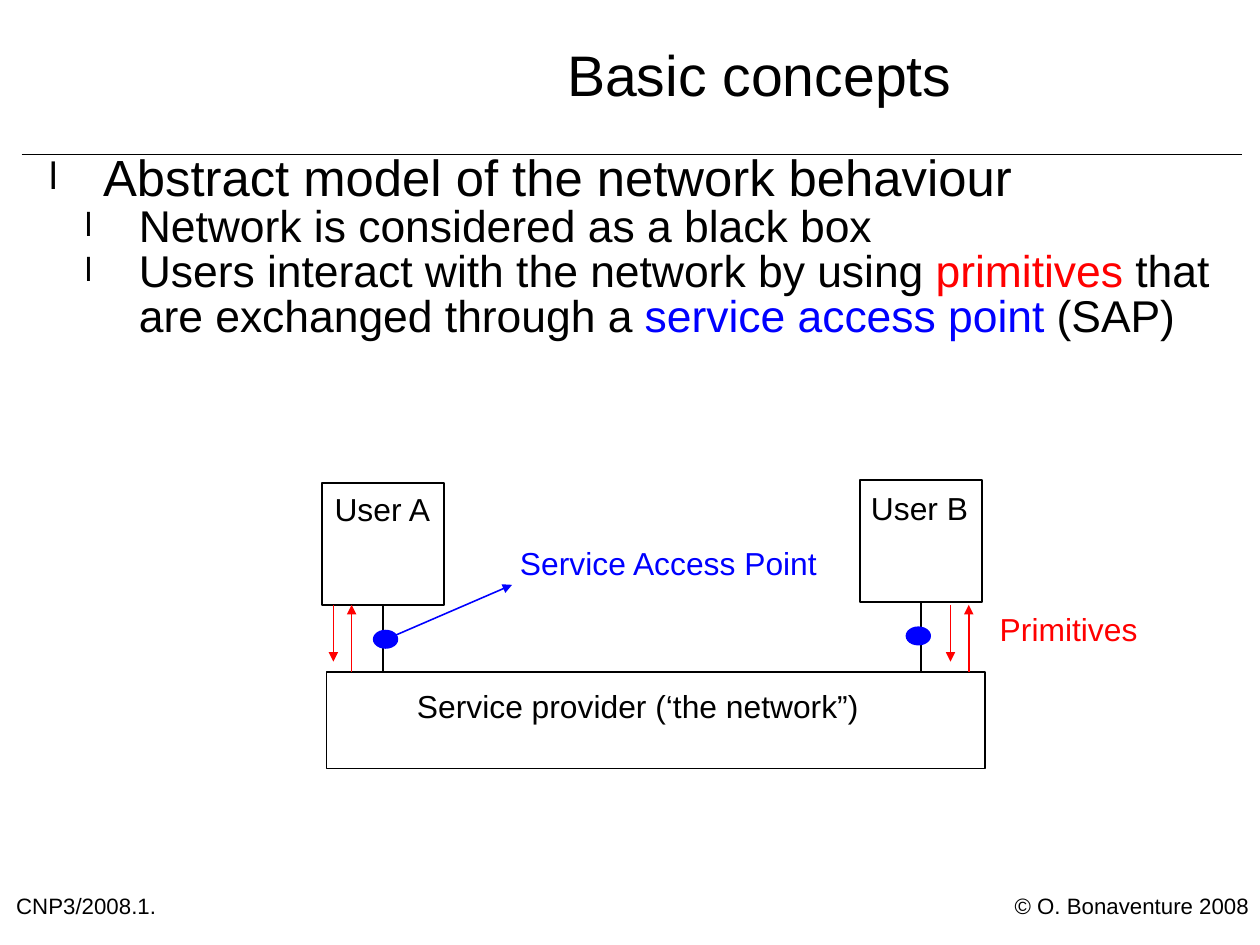
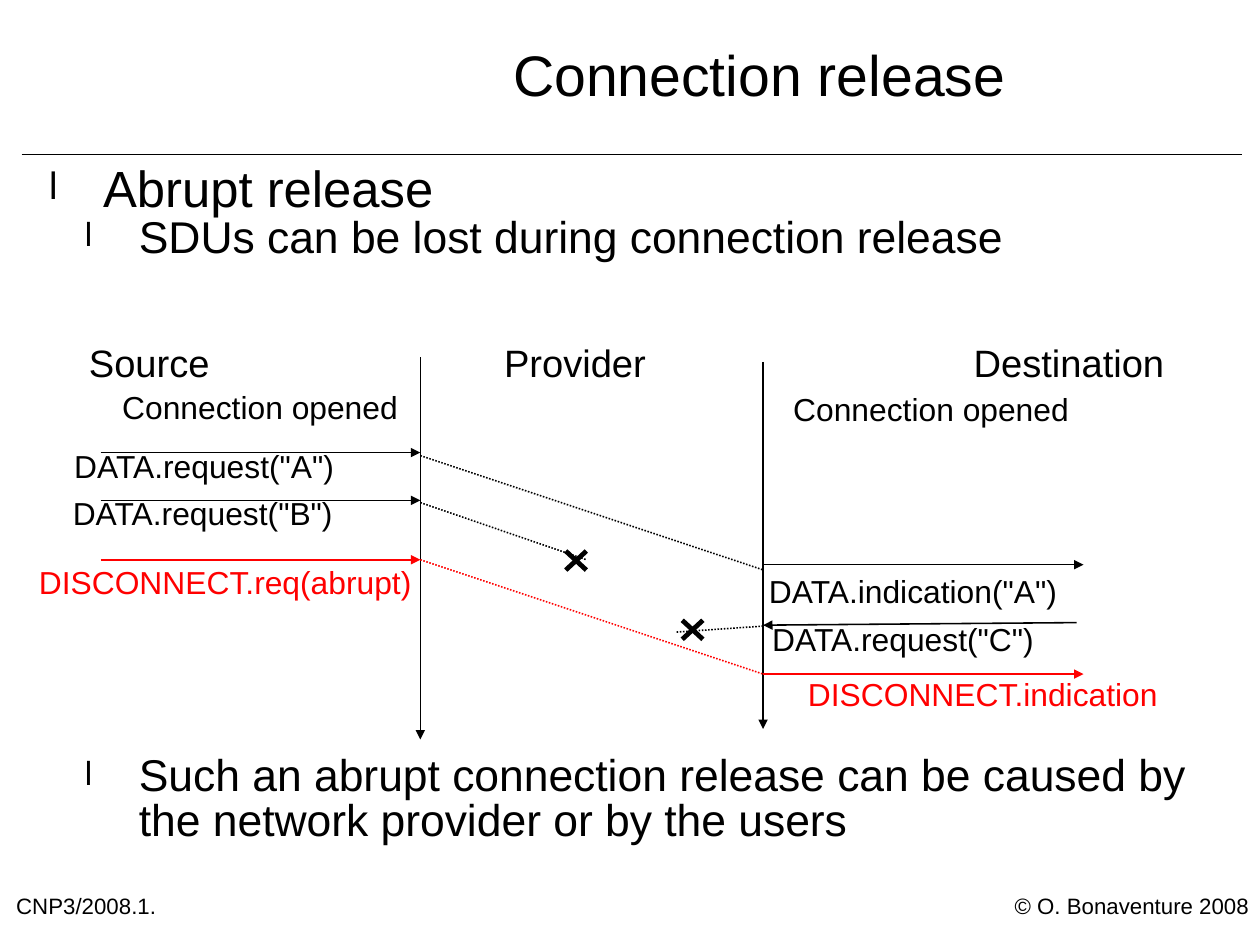
"""Build two networking slides: basic concepts and connection release."""
from dataclasses import dataclass

from lxml import etree
from pptx import Presentation
from pptx.dml.color import RGBColor
from pptx.enum.dml import MSO_LINE
from pptx.enum.shapes import MSO_CONNECTOR, MSO_SHAPE
from pptx.enum.text import MSO_ANCHOR, MSO_AUTO_SIZE, PP_ALIGN
from pptx.oxml.ns import qn
from pptx.util import Pt

STRAIGHT = MSO_CONNECTOR.STRAIGHT
RECTANGLE, OVAL = MSO_SHAPE.RECTANGLE, MSO_SHAPE.OVAL
DOTTED = MSO_LINE.ROUND_DOT
LEFT, CENTER = PP_ALIGN.LEFT, PP_ALIGN.CENTER
TOP, MIDDLE = MSO_ANCHOR.TOP, MSO_ANCHOR.MIDDLE
GROW, FIXED = MSO_AUTO_SIZE.SHAPE_TO_FIT_TEXT, MSO_AUTO_SIZE.NONE
BOTTOM_SITE = 2


@dataclass(frozen=True)
class Theme:
    """Colours, type sizes and spacing shared by the slides."""
    black: RGBColor = RGBColor(0, 0, 0)
    red: RGBColor = RGBColor(255, 0, 0)
    blue: RGBColor = RGBColor(0, 0, 255)
    font: str = "Arial"
    title: int = 36
    body: tuple = (32, 28)
    heading: int = 24
    label: int = 20
    footer: int = 14
    indents: tuple = (39.8, 62.3)
    hanging: float = -34
    line_spacing: float = 0.84
    line: int = 1
    cross_line: int = 3


THEME = Theme()


def write_paragraph(paragraph, text, size=THEME.label, color=THEME.black, align=LEFT):
    """Write a string, or (text, colour) runs, into a paragraph."""
    paragraph.alignment = align
    paragraph.line_spacing = THEME.line_spacing
    for words, run_color in [(text, color)] if isinstance(text, str) else text:
        run = paragraph.add_run()
        run.text = words
        run.font.name = THEME.font
        run.font.size = Pt(size)
        run.font.color.rgb = run_color


def set_frame(shape, inset=(0, 0), wrap=True, anchor=TOP):
    """Set insets, wrapping and anchor, and return the text frame."""
    frame = shape.text_frame
    frame.margin_left, frame.margin_top = (Pt(value) for value in inset)
    frame.margin_right = frame.margin_bottom = 0
    frame.word_wrap = wrap
    frame.auto_size = FIXED if wrap else GROW
    frame.vertical_anchor = anchor
    return frame


def add_text_box(slide, left, top, width, height, **frame_format):
    """Add an empty text box and return its frame."""
    box = slide.shapes.add_textbox(Pt(left), Pt(top), Pt(width), Pt(height))
    return set_frame(box, **frame_format)


def add_label(slide, text, left, top, width, size=THEME.label, **text_format):
    """Add a one-line label."""
    frame = add_text_box(slide, left, top, width, size, wrap=False)
    write_paragraph(frame.paragraphs[0], text, size=size, **text_format)


def add_bullet(paragraph):
    """Give a paragraph the bullet of its level."""
    properties = paragraph._p.get_or_add_pPr()
    properties.set("marL", str(Pt(THEME.indents[paragraph.level])))
    properties.set("indent", str(Pt(THEME.hanging)))
    color = etree.SubElement(properties, qn("a:buClr"))
    etree.SubElement(color, qn("a:srgbClr"), val=str(THEME.black))
    etree.SubElement(properties, qn("a:buSzPct"), val="75000")
    etree.SubElement(properties, qn("a:buFont"), typeface=THEME.font)
    etree.SubElement(properties, qn("a:buChar"), char="l")


def add_body(slide, top, height, items):
    """Add the bulleted text from (level, space before, text) items."""
    frame = add_text_box(slide, 25.2, top, 737, height)
    for index, (level, space_before, text) in enumerate(items):
        paragraph = frame.add_paragraph() if index else frame.paragraphs[0]
        paragraph.level = level
        add_bullet(paragraph)
        paragraph.space_before = Pt(space_before)
        write_paragraph(paragraph, text, size=THEME.body[level])


def add_line(shapes, start, end, color=THEME.black, width=THEME.line, arrow=False, dash=None):
    """Add a straight line between two points."""
    points = (Pt(value) for value in (*start, *end))
    connector = shapes.add_connector(STRAIGHT, *points)
    connector.line.color.rgb = color
    connector.line.width = Pt(width)
    if dash is not None:
        connector.line.dash_style = dash
    if arrow:
        etree.SubElement(connector.line._get_or_add_ln(), qn("a:tailEnd"), type="triangle")
    etree.SubElement(connector._element.spPr, qn("a:effectLst"))
    return connector


def add_figure(slide, kind, left, top, width, height, color=THEME.black, filled=False):
    """Add an outlined shape, filled on request."""
    shape = slide.shapes.add_shape(kind, Pt(left), Pt(top), Pt(width), Pt(height))
    shape.shadow.inherit = False
    shape.line.color.rgb = color
    shape.line.width = Pt(THEME.line)
    if filled:
        shape.fill.solid()
        shape.fill.fore_color.rgb = color
    else:
        shape.fill.background()
    return shape


def add_text_rectangle(slide, text, left, top, width, height, inset):
    """Add a rectangle with text set in from its top left corner."""
    shape = add_figure(slide, RECTANGLE, left, top, width, height)
    write_paragraph(set_frame(shape, inset=inset).paragraphs[0], text)
    return shape


def add_cross(slide, center_x, center_y):
    """Add a grouped cross that marks a lost message."""
    group = slide.shapes.add_group_shape()
    for rise in (6, -6):
        add_line(group.shapes, (center_x - 6.5, center_y - rise),
                 (center_x + 6.5, center_y + rise), width=THEME.cross_line)


def add_base_slide(presentation, title):
    """Add a slide with the shared rule, footers and title."""
    slide = presentation.slides.add_slide(presentation.slide_layouts[6])
    add_line(slide.shapes, (13.7, 97.2), (782.6, 97.2))
    add_label(slide, "© O. Bonaventure 2008", 639.2, 564.5, 153, size=THEME.footer)
    add_label(slide, "CNP3/2008.1.", 10.2, 564.5, 121, size=THEME.footer)
    frame = add_text_box(slide, 200, 0, 556.6, 99.4, anchor=MIDDLE)
    write_paragraph(frame.paragraphs[0], title, size=THEME.title, align=CENTER)
    return slide


def add_user(slide, name, left, top, inset, access_point, primitives_left):
    """Add a user, its access point and its pair of primitives."""
    side, provider_top, gap = 77, 423.2, 11.5
    user = add_text_rectangle(slide, name, left, top, side, side, inset)
    center = left + side / 2
    link = add_line(slide.shapes, (center, provider_top), (center, top + side))
    link.end_connect(user, BOTTOM_SITE)
    add_figure(slide, OVAL, *access_point, 15, 11, color=THEME.blue, filled=True)
    right = primitives_left + gap
    for start, end in (((primitives_left, 381.4), (primitives_left, 416.8)),
                       ((right, provider_top), (right, 381))):
        add_line(slide.shapes, start, end, color=THEME.red, arrow=True)


def build_basic_concepts(presentation):
    """Build the slide on the abstract network model."""
    slide = add_base_slide(presentation, "Basic concepts")
    add_body(slide, 98, 442.8, [
        (0, 0, "Abstract model of the network behaviour"),
        (1, 0, "Network is considered as a black box"),
        (1, 0, [("Users interact with the network by using ", THEME.black),
                ("primitives", THEME.red),
                (" that are exchanged through a ", THEME.black),
                ("service access point ", THEME.blue),
                ("(SAP)", THEME.black)]),
    ])
    add_text_rectangle(slide, "Service provider (‘the network”)",
                       205.7, 423.2, 414.7, 61, (57, 13.2))
    add_user(slide, "User A", 202.8, 304.3, (8, 8.3), (235.4, 397.2), 210)
    add_user(slide, "User B", 541.7, 302.2, (7, 9.6), (571, 395.1), 598.8)
    add_line(slide.shapes, (243, 402.8), (322.6, 368.4), color=THEME.blue, arrow=True)
    add_label(slide, "Service Access Point", 327.6, 346.3, 194, color=THEME.blue)
    add_label(slide, "Primitives", 629.8, 387.7, 93, color=THEME.red)


def build_connection_release(presentation):
    """Build the slide on the abrupt release of a connection."""
    slide = add_base_slide(presentation, "Connection release")
    add_body(slide, 104.6, 490.3, [
        (0, 0, "Abrupt release"),
        (1, 0, "SDUs can be lost during connection release"),
        (1, 311, "Such an abrupt connection release can be caused by "
                 "the network provider or by the users"),
    ])
    source, destination = 264.8, 480.7
    request_left, indication_right = 63.4, 682.6
    for text, left, width in (("Source", 56, 84), ("Provider", 317.5, 98),
                              ("Destination", 613.4, 128)):
        add_label(slide, text, left, 218.2, width, size=THEME.heading)

    arrows = (
        ((source, 225.2), (source, 465.8), THEME.black),
        ((destination, 228), (destination, 459.2), THEME.black),
        ((request_left, 285.1), (source, 285.1), THEME.black),
        ((request_left, 315.2), (source, 315.2), THEME.black),
        ((request_left, 352.6), (source, 352.6), THEME.red),
        ((destination, 355.7), (indication_right, 355.7), THEME.black),
        ((678.2, 392.2), (destination, 393.8), THEME.black),
        ((destination, 424.6), (indication_right, 424.6), THEME.red),
    )
    for start, end, color in arrows:
        add_line(slide.shapes, start, end, color=color, arrow=True)

    transits = (
        ((source, 287), (destination, 359), THEME.black),
        ((source, 316.6), (369.4, 352.6), THEME.black),
        ((destination, 394.4), (425.3, 398.2), THEME.black),
        ((source, 352.6), (destination, 424.6), THEME.red),
    )
    for start, end, color in transits:
        add_line(slide.shapes, start, end, color=color, dash=DOTTED)
    add_cross(slide, 362.9, 353.1)
    add_cross(slide, 436.3, 396.7)

    labels = (
        ("Connection opened", 77, 248.4, 182, THEME.black),
        ("Connection opened", 499.7, 249.1, 182, THEME.black),
        ('DATA.request("A")', 46.8, 285.1, 174, THEME.black),
        ('DATA.request("B")', 45.9, 315, 174, THEME.black),
        ("DISCONNECT.req(abrupt)", 24.5, 358.3, 244, THEME.red),
        ('DATA.indication("A")', 484.4, 364.3, 192, THEME.black),
        ('DATA.request("C")', 486.5, 394.3, 174, THEME.black),
        ("DISCONNECT.indication", 509, 428.8, 230, THEME.red),
    )
    for text, left, top, width, color in labels:
        add_label(slide, text, left, top, width, color=color)


def main():
    """Build and save the presentation."""
    presentation = Presentation()
    presentation.slide_width, presentation.slide_height = Pt(793.75), Pt(595.25)
    build_basic_concepts(presentation)
    build_connection_release(presentation)
    presentation.save("out.pptx")


if __name__ == "__main__":
    main()
